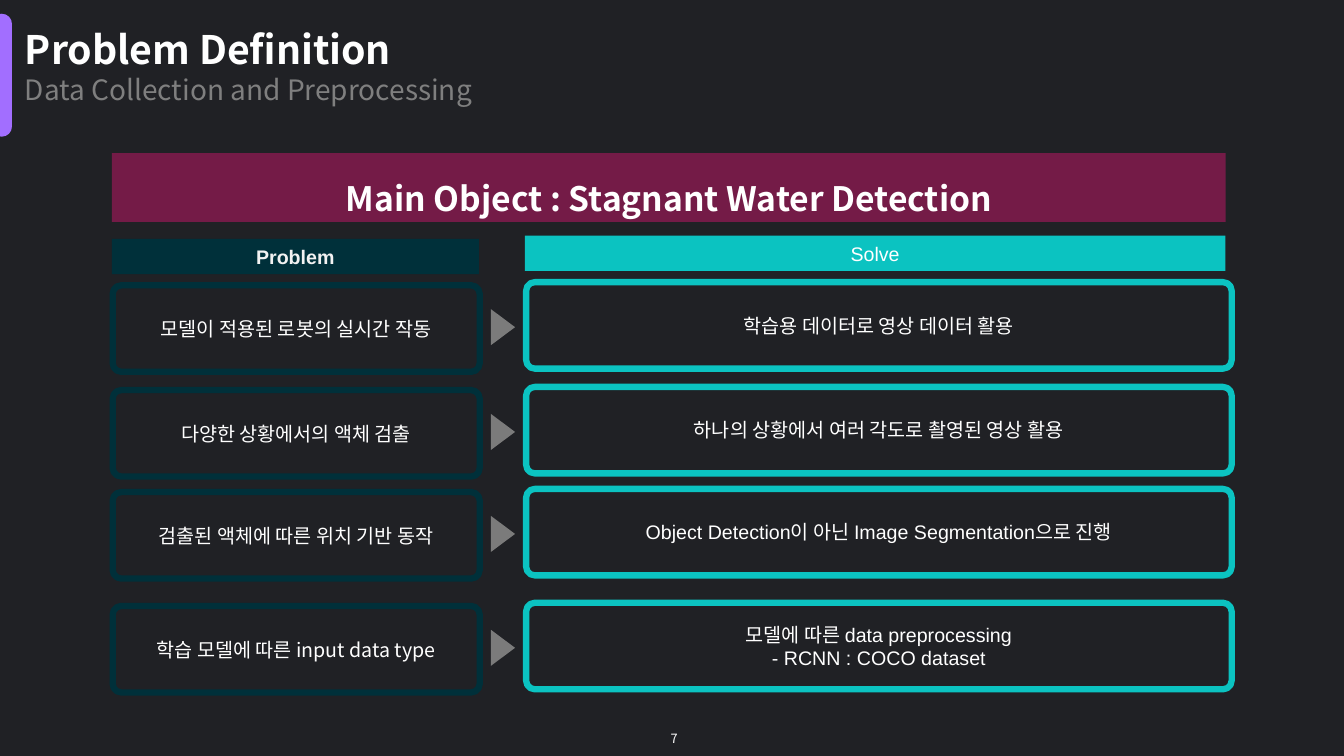
from dataclasses import dataclass

from lxml.etree import SubElement
from pptx import Presentation
from pptx.dml.color import RGBColor
from pptx.enum.shapes import MSO_CONNECTOR as Connector, MSO_SHAPE as Preset
from pptx.enum.text import MSO_ANCHOR as Anchor, MSO_AUTO_SIZE as AutoSize, PP_ALIGN as Align
from pptx.oxml.ns import qn
from pptx.util import Cm, Pt

SANS = "Noto Sans CJK KR"
ARIAL = "Arial"
WHITE = "FFFFFF"
NAVY = "00303A"
TEAL = "0BC3C1"
PROBLEM_LEFT, PROBLEM_WIDTH = 2.84, 9.25
SOLVE_LEFT, SOLVE_WIDTH = 13.26, 17.78
CARD_HEIGHT = 2.18


@dataclass
class Style:
    font: str
    size: float
    color: str = WHITE
    bold: bool = False


@dataclass
class Band:
    left: float
    top: float
    width: float
    height: float
    fill: str
    text: str
    style: Style
    spacing: float = 1.0


@dataclass
class Row:
    top: float
    problem: str
    solution: str


BANDS = [
    Band(2.82, 3.86, 28.07, 1.73, "741B47", "Main Object : Stagnant Water Detection",
         Style(SANS, 24, bold=True), 1.5),
    Band(2.82, 6.02, 9.25, 0.89, NAVY, "Problem", Style(ARIAL, 14, "F2F2F2", True)),
    Band(13.23, 5.94, 17.65, 0.89, TEAL, "Solve", Style(ARIAL, 14)),
]
ROWS = [
    Row(7.11, "모델이 적용된 로봇의 실시간 작동", "학습용 데이터로 영상 데이터 활용"),
    Row(9.75, "다양한 상황에서의 액체 검출", "하나의 상황에서 여러 각도로 촬영된 영상 활용"),
    Row(12.32, "검출된 액체에 따른 위치 기반 동작",
        "Object Detection이 아닌 Image Segmentation으로 진행"),
    Row(15.19, "학습 모델에 따른 input data type",
        "모델에 따른 data preprocessing\n- RCNN : COCO dataset"),
]


def rgb(color: str) -> RGBColor:
    return RGBColor.from_string(color)


def format_para(para, style: Style, align=Align.CENTER, spacing: float = 1.0) -> None:
    para.alignment = align
    para.line_spacing = spacing
    for span in para.runs:
        span.font.size = Pt(style.size)
        span.font.bold = style.bold
        span.font.color.rgb = rgb(style.color)
        span.font.name = style.font
        SubElement(span.font._element, qn("a:ea"), typeface=SANS)


def write(shape, text: str, style: Style, spacing: float = 1.0) -> None:
    frame = shape.text_frame
    frame.word_wrap = True
    frame.vertical_anchor = Anchor.MIDDLE
    frame.text = text
    for para in frame.paragraphs:
        format_para(para, style, spacing=spacing)


def add_block(page, preset, left: float, top: float, width: float, height: float,
              fill: str = "", line: str = ""):
    shape = page.shapes.add_shape(preset, Cm(left), Cm(top), Cm(width), Cm(height))
    shape.shadow.inherit = False
    if fill:
        shape.fill.solid()
        shape.fill.fore_color.rgb = rgb(fill)
    else:
        shape.fill.background()
    if line:
        shape.line.color.rgb = rgb(line)
        shape.line.width = Pt(4.5)
    else:
        shape.line.fill.background()
    return shape


def add_card(page, left: float, top: float, width: float, line: str, text: str, font: str) -> None:
    card = add_block(page, Preset.ROUNDED_RECTANGLE, left, top, width, CARD_HEIGHT, line=line)
    card.adjustments[0] = 0.1
    write(card, text, Style(font, 14))


def add_row(page, row: Row) -> None:
    add_card(page, PROBLEM_LEFT, row.top + 0.08, PROBLEM_WIDTH, NAVY, row.problem, SANS)
    add_card(page, SOLVE_LEFT, row.top, SOLVE_WIDTH, TEAL, row.solution, ARIAL)
    arrow = add_block(page, Preset.ISOSCELES_TRIANGLE, 12.22, row.top + 0.83, 0.91, 0.61, "7B7B7B")
    arrow.rotation = 90


def add_heading(page) -> None:
    title = page.shapes.title
    title.left, title.top, title.width, title.height = Cm(0.38), Cm(0.38), Cm(18.31), Cm(2.57)
    frame = title.text_frame
    frame.text = "Problem Definition\nData Collection and Preprocessing"
    frame.word_wrap = True
    frame.auto_size = AutoSize.NONE
    frame.vertical_anchor = Anchor.TOP
    frame.margin_left = frame.margin_right = frame.margin_top = frame.margin_bottom = Cm(0.25)
    heading, subheading = frame.paragraphs
    format_para(heading, Style(SANS, 28, bold=True), Align.LEFT)
    format_para(subheading, Style(SANS, 20, "7F7F7F"), Align.LEFT)


def add_accent(page) -> None:
    accent = page.shapes.add_connector(Connector.STRAIGHT, Cm(0.05), Cm(0.61), Cm(0.05), Cm(3.18))
    accent.line.color.rgb = rgb("A26EFF")
    accent.line.width = Pt(15)
    accent.line._ln.set("cap", "rnd")
    SubElement(accent._element.spPr, qn("a:effectLst"))


def main() -> None:
    deck = Presentation()
    deck.slide_width, deck.slide_height = Cm(33.87), Cm(19.05)
    page = deck.slides.add_slide(deck.slide_layouts[5])
    page.background.fill.solid()
    page.background.fill.fore_color.rgb = rgb("202125")

    add_heading(page)
    add_accent(page)
    for band in BANDS:
        block = add_block(page, Preset.RECTANGLE, band.left, band.top, band.width, band.height, band.fill)
        write(block, band.text, band.style, band.spacing)
    for row in ROWS:
        add_row(page, row)
    number = page.shapes.add_textbox(Cm(15.11), Cm(18.3), Cm(3.76), Cm(0.6))
    write(number, "7", Style(SANS, 9.1))
    deck.save("out.pptx")


if __name__ == "__main__":
    main()
